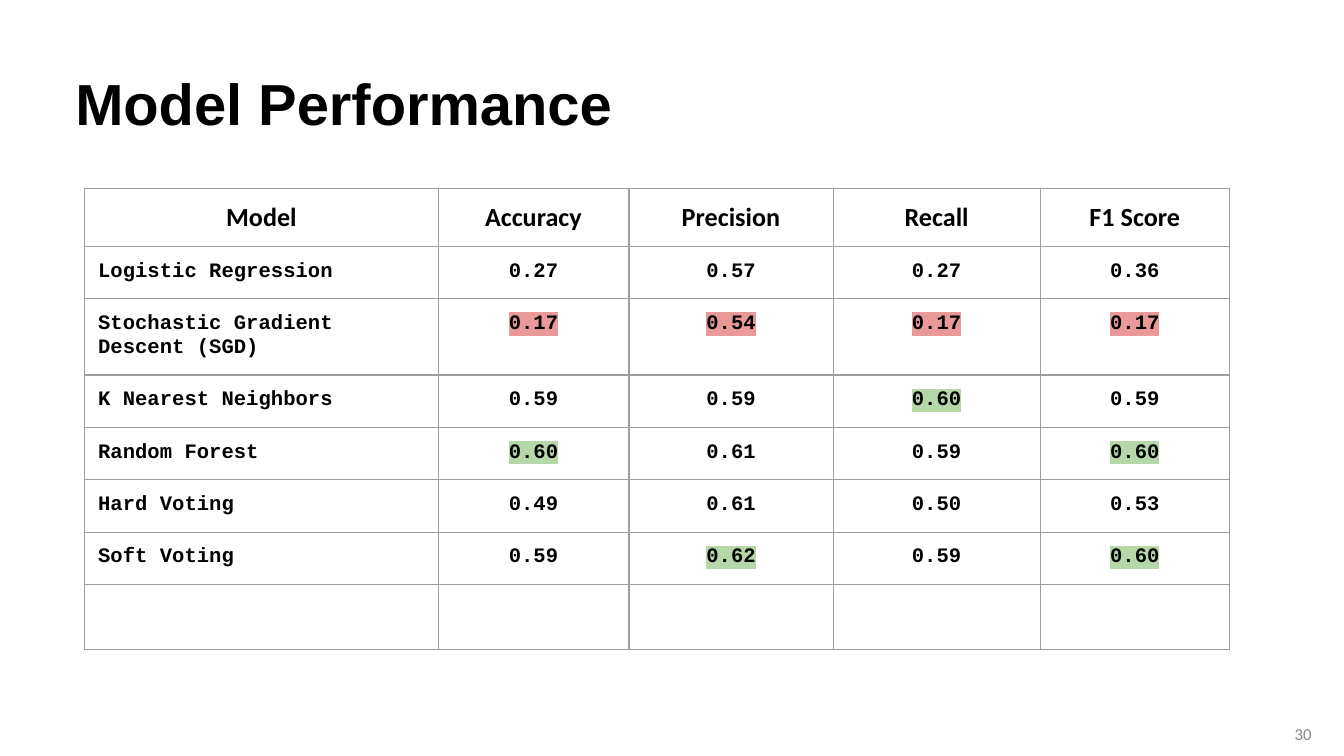
from lxml.etree import SubElement
from pptx import Presentation
from pptx.dml.color import RGBColor
from pptx.enum.text import MSO_ANCHOR as Anchor, PP_ALIGN as Align
from pptx.oxml import parse_xml
from pptx.oxml.ns import nsdecls, qn
from pptx.util import Inches, Pt

WIDTH = 10
HEIGHT = WIDTH * 9 / 16
BLACK, GREY, BORDER = "000000", "888888", "9E9E9E"
WORST, BEST = "EA9999", "B6D7A8"

COLUMNS = [2.63, 1.42, 1.52, 1.54, 1.41]
ROWS = [0.43, 0.39, 0.54, 0.39, 0.39, 0.39, 0.39, 0.48]
HEADER = ["Model", "Accuracy", "Precision", "Recall", "F1 Score"]
SCORES = [
    ["Logistic Regression", "0.27", "0.57", "0.27", "0.36"],
    ["Stochastic Gradient Descent (SGD)", "0.17", "0.54", "0.17", "0.17"],
    ["K Nearest Neighbors", "0.59", "0.59", "0.60", "0.59"],
    ["Random Forest", "0.60", "0.61", "0.59", "0.60"],
    ["Hard Voting", "0.49", "0.61", "0.50", "0.53"],
    ["Soft Voting", "0.59", "0.62", "0.59", "0.60"],
]


def color(value):
    return RGBColor.from_string(value)


def write(frame, text, size, font, fill=BLACK, bold=True, align=Align.LEFT, highlight=None):
    para = frame.paragraphs[0]
    para.alignment = align
    span = para.add_run()
    span.text = text
    span.font.size, span.font.bold = Pt(size), bold
    span.font.color.rgb = color(fill)
    if highlight:
        mark = SubElement(span.font._element, qn("a:highlight"))
        SubElement(mark, qn("a:srgbClr"), val=highlight)
    span.font.name = font


def add_text(page, box, text, **style):
    frame = page.shapes.add_textbox(*map(Inches, box)).text_frame
    frame.word_wrap = True
    frame.vertical_anchor = Anchor.MIDDLE
    frame.margin_left = frame.margin_right = Inches(0.07)
    frame.margin_top = frame.margin_bottom = Inches(0.04)
    write(frame, text, **style)


def style_cell(cell, margin):
    """Give a cell equal margins, no fill and a thin border."""
    cell.margin_left = cell.margin_right = Inches(margin)
    cell.margin_top = cell.margin_bottom = Inches(margin)
    cell.fill.background()
    properties = cell._tc.get_or_add_tcPr()
    for index, side in enumerate("LRTB"):
        properties.insert(index, parse_xml(
            f'<a:ln{side} {nsdecls("a")} w="{Pt(0.75)}"><a:solidFill>'
            f'<a:srgbClr val="{BORDER}"/></a:solidFill></a:ln{side}>'))


def best_scores():
    """Return the highest score of each metric column."""
    return [max(column) for column in zip(*(row[1:] for row in SCORES))]


def score_highlight(row, column):
    lowest = min(SCORES, key=lambda scores: scores[1:])
    if column == 0:
        return None
    if row is lowest:
        return WORST
    return BEST if row[column] == best_scores()[column - 1] else None


def add_scores(page, box):
    frame = page.shapes.add_table(len(ROWS), len(COLUMNS), *map(Inches, box))
    table = frame.table
    table.horz_banding = table.first_row = False
    for column, width in zip(table.columns, COLUMNS):
        column.width = Inches(width)
    for row, height in zip(table.rows, ROWS):
        row.height = Inches(height)
    last = len(ROWS) - 1
    for r in range(len(ROWS)):
        for c in range(len(COLUMNS)):
            style_cell(table.cell(r, c), 0.05 if r == last else 0.1)
    for c, label in enumerate(HEADER):
        write(table.cell(0, c).text_frame, label, size=14, font="Calibri", align=Align.CENTER)
    for r, scores in enumerate(SCORES, start=1):
        for c, text in enumerate(scores):
            write(table.cell(r, c).text_frame, text, size=11, font="Courier New",
                  align=Align.CENTER if c else Align.LEFT,
                  highlight=score_highlight(scores, c))


def main():
    deck = Presentation()
    deck.slide_width, deck.slide_height = Inches(WIDTH), Inches(HEIGHT)
    page = deck.slides.add_slide(deck.slide_layouts[6])
    add_text(page, (0.49, 0.42, 9.02, 0.68), "Model Performance", size=31, font="Arial")
    add_text(page, (9.47, 5.31, 0.36, 0.3), "30", size=9, font="Calibri",
             fill=GREY, bold=False, align=Align.RIGHT)
    add_scores(page, (0.63, 1.4, sum(COLUMNS), sum(ROWS)))
    deck.save("out.pptx")


if __name__ == "__main__":
    main()
